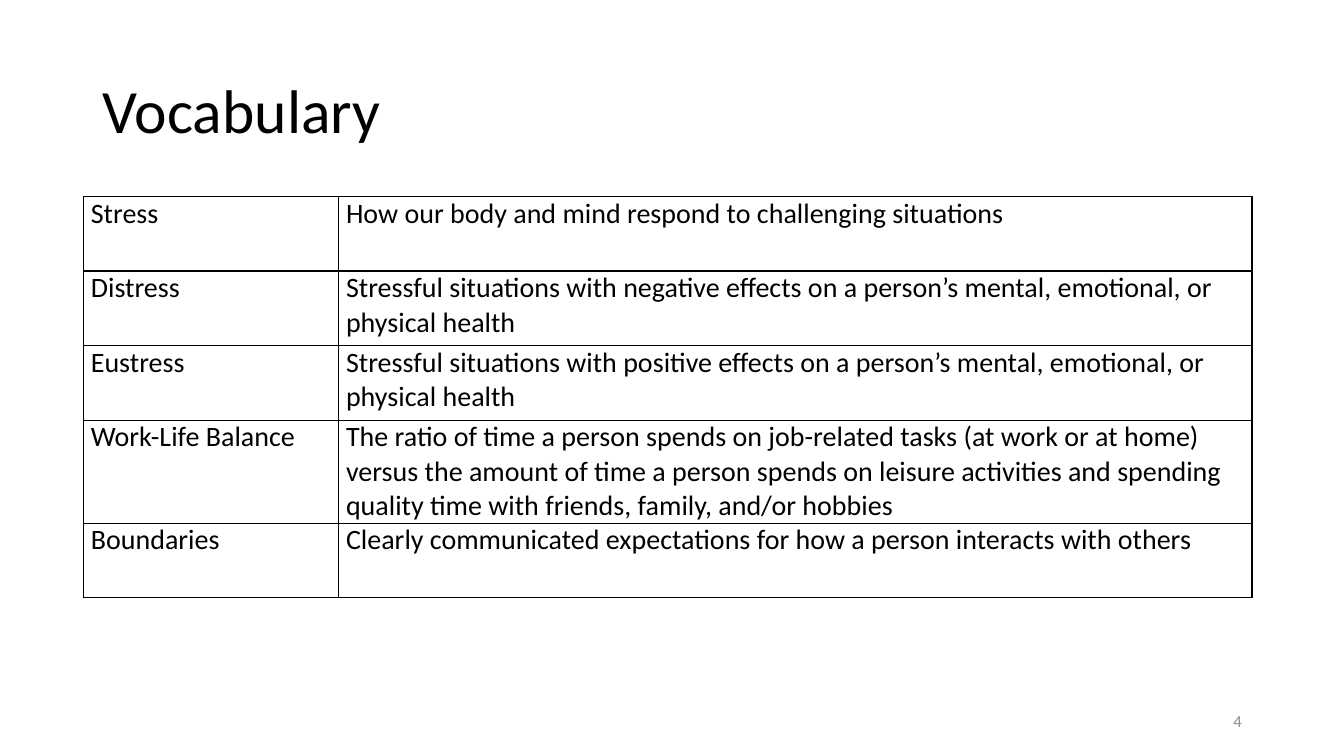
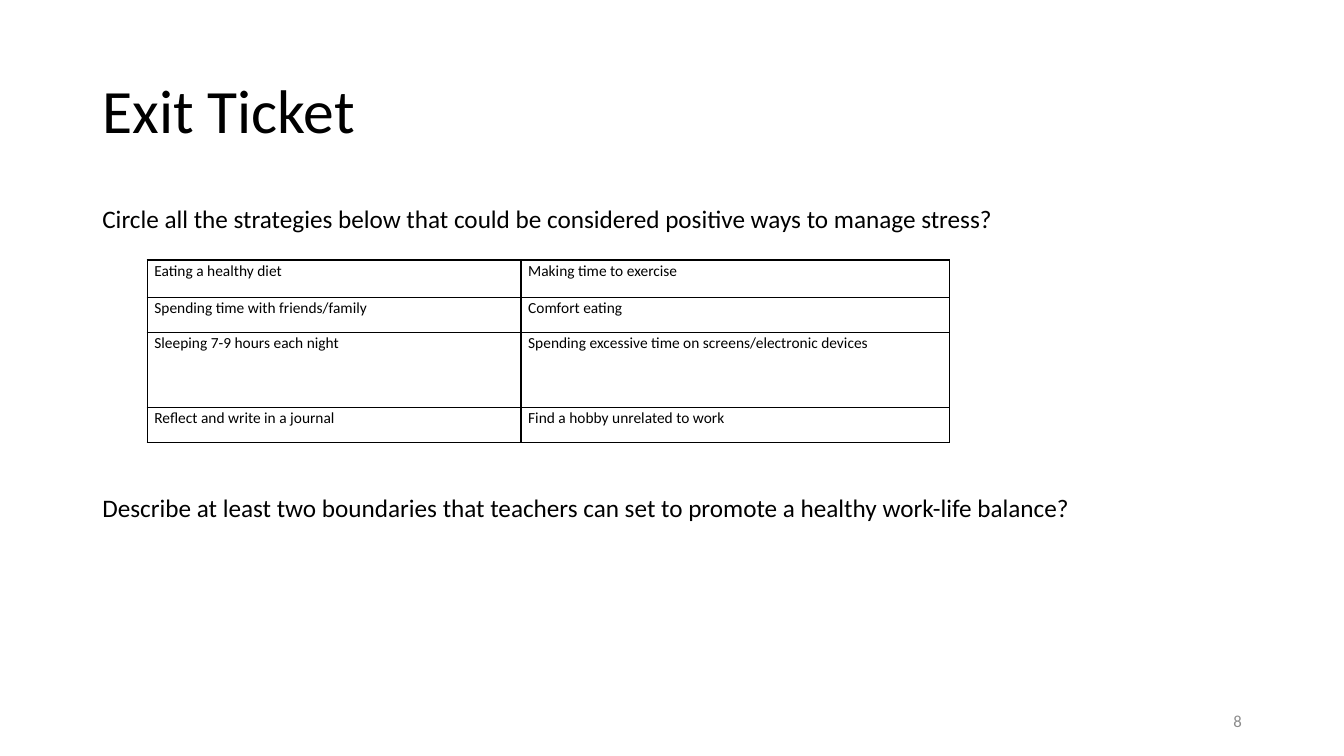
from lxml import etree
from pptx import Presentation
from pptx.dml.color import RGBColor
from pptx.enum.text import MSO_ANCHOR, MSO_AUTO_SIZE, PP_ALIGN
from pptx.oxml.ns import qn
from pptx.util import Cm, Pt

LEFT, RIGHT = PP_ALIGN.LEFT, PP_ALIGN.RIGHT
TOP, MIDDLE = MSO_ANCHOR.TOP, MSO_ANCHOR.MIDDLE
NO_AUTOFIT = MSO_AUTO_SIZE.NONE
TITLE_ONLY = 5
FONT = "Calibri"
COLORS = {"text": "000000", "border": "000000", "number": "8C8C8C"}
TITLE_AREA = (2.33, 1.02, 29.21, 3.68)
NUMBER_AREA = (23.93, 17.65, 7.62, 1.02)


def write_text(frame, text, size, color="text", align=LEFT, anchor=TOP,
               line_spacing=1.0, before=0, after=0):
    frame.word_wrap = True
    frame.vertical_anchor = anchor
    para = frame.paragraphs[0]
    para.alignment = align
    para.line_spacing = line_spacing
    para.space_before = Pt(before)
    para.space_after = Pt(after)
    span = para.add_run()
    span.text = text
    span.font.name = FONT
    span.font.size = Pt(size)
    span.font.color.rgb = RGBColor.from_string(COLORS[color])


def add_borders(cell):
    properties = cell._tc.get_or_add_tcPr()
    for side in ("lnL", "lnR", "lnT", "lnB"):
        line = etree.SubElement(properties, qn(f"a:{side}"), w=str(Pt(1)))
        fill = etree.SubElement(line, qn("a:solidFill"))
        etree.SubElement(fill, qn("a:srgbClr"), val=COLORS["border"])


pages = [
    {
        "title": "Vocabulary",
        "number": "4",
        "texts": [],
        "table_at": (2.11, 4.95),
        "columns": [6.43, 23.01],
        "heights": [1.88, 1.88, 1.88, 2.34, 1.88],
        "cell_format": {"size": 20, "before": 6, "after": 6},
        "rows": [
            ("Stress", "How our body and mind respond to challenging situations"),
            ("Distress", "Stressful situations with negative effects on a person’s "
                         "mental, emotional, or physical health"),
            ("Eustress", "Stressful situations with positive effects on a person’s "
                         "mental, emotional, or physical health"),
            ("Work-Life Balance", "The ratio of time a person spends on job-related tasks "
                                  "(at work or at home) versus the amount of time a person "
                                  "spends on leisure activities and spending quality time "
                                  "with friends, family, and/or hobbies"),
            ("Boundaries", "Clearly communicated expectations for how a person "
                           "interacts with others"),
        ],
    },
    {
        "title": "Exit Ticket",
        "number": "8",
        "texts": [
            ("Circle all the strategies below that could be considered positive ways "
             "to manage stress?",
             (2.33, 5.08, 29.21, 1.3), {"line_spacing": 0.9, "before": 10}),
            ("Describe at least two boundaries that teachers can set to promote "
             "a healthy work-life balance?",
             (2.33, 12.24, 24.92, 1.85), {"line_spacing": 1.07}),
        ],
        "table_at": (3.71, 6.55),
        "columns": [9.42, 10.8],
        "heights": [0.94, 0.89, 1.88, 0.89],
        "cell_format": {"size": 11, "line_spacing": 1.07},
        "rows": [
            ("Eating a healthy diet", "Making time to exercise"),
            ("Spending time with friends/family", "Comfort eating"),
            ("Sleeping 7-9 hours each night",
             "Spending excessive time on screens/electronic devices"),
            ("Reflect and write in a journal", "Find a hobby unrelated to work"),
        ],
    },
]

deck = Presentation()
deck.slide_width, deck.slide_height = Cm(33.87), Cm(19.05)

for content in pages:
    page = deck.slides.add_slide(deck.slide_layouts[TITLE_ONLY])
    title = page.shapes.title
    title.left, title.top, title.width, title.height = map(Cm, TITLE_AREA)
    title.text_frame.auto_size = NO_AUTOFIT
    write_text(title.text_frame, content["title"], 44, anchor=MIDDLE, line_spacing=0.9)

    for text, area, text_format in content["texts"]:
        box = page.shapes.add_textbox(*map(Cm, area))
        write_text(box.text_frame, text, 18, **text_format)

    columns, heights = content["columns"], content["heights"]
    left, top = content["table_at"]
    table = page.shapes.add_table(
        len(heights), len(columns), Cm(left), Cm(top),
        Cm(sum(columns)), Cm(sum(heights))).table
    table.first_row = False
    table.horz_banding = False
    for column, width in zip(table.columns, columns):
        column.width = Cm(width)
    for row, height, texts in zip(table.rows, heights, content["rows"]):
        row.height = Cm(height)
        for cell, text in zip(row.cells, texts):
            cell.margin_left = cell.margin_right = Cm(0.18)
            cell.margin_top = cell.margin_bottom = 0
            add_borders(cell)
            cell.fill.background()
            write_text(cell.text_frame, text, **content["cell_format"])

    number = page.shapes.add_textbox(*map(Cm, NUMBER_AREA))
    write_text(number.text_frame, content["number"], 12, color="number",
               align=RIGHT, anchor=MIDDLE)

deck.save("out.pptx")
